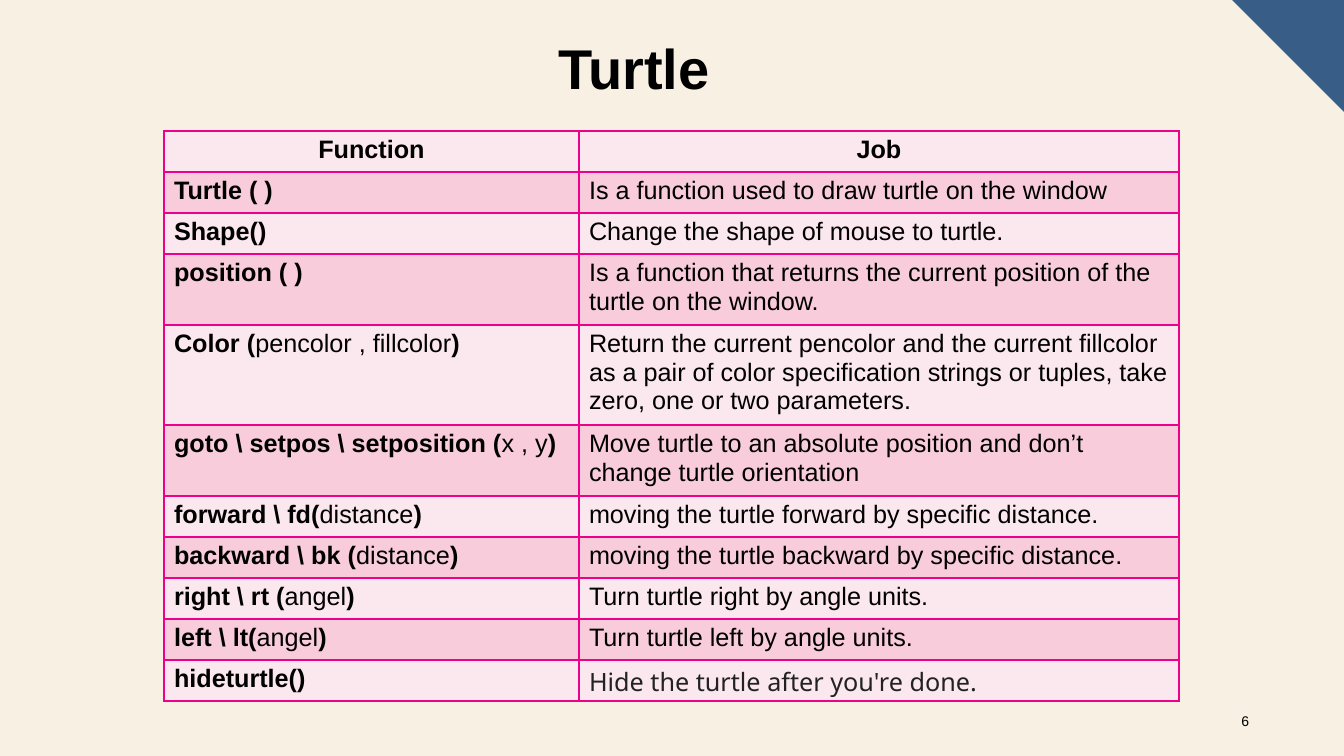
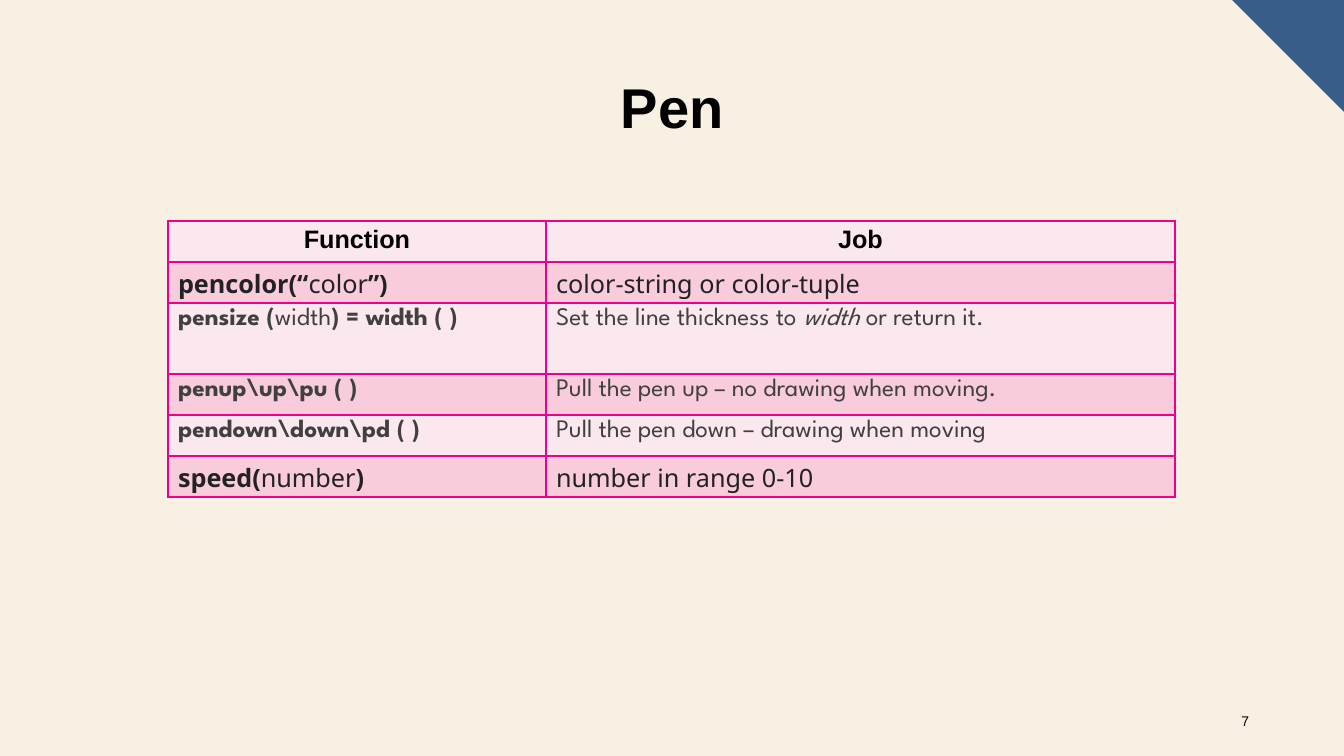
"""Build two slides that tabulate the turtle and pen functions."""
from lxml.etree import SubElement
from pptx import Presentation
from pptx.dml.color import RGBColor
from pptx.enum.text import MSO_ANCHOR, MSO_AUTO_SIZE, PP_ALIGN
from pptx.oxml.ns import qn
from pptx.util import Pt

PX = 9071
W, H = 1344, 756
CORNER = 112
CREAM, NAVY, BLACK, PINK = "F8F0E3", "385E88", "000000", "EC008C"
BANDS = ["FBE7EE", "F8CCDA"]
ARIAL = ("Arial", BLACK)
NOTO = ("Noto Sans", "222222")
SPARTAN = ("League Spartan", "404040")


def fill(obj, color):
    obj.fill.solid()
    obj.fill.fore_color.rgb = RGBColor.from_string(color)


def add_text(p, text, size=18, font=ARIAL, bold=False, italic=False, align=PP_ALIGN.LEFT):
    p.alignment = align
    r = p.add_run()
    r.text = text
    r.font.name, color = font
    r.font.color.rgb = RGBColor.from_string(color)
    r.font.size, r.font.bold, r.font.italic = Pt(size), bold, italic


# Each row: height, function font, job font, function (bold|plain|bold), job (plain|italic|plain)
SLIDES = [
    dict(number="6", title="Turtle", title_at=(388, 28), table_at=(164, 131), cols=(415, 600), rows=[
        (41, ARIAL, ARIAL, "Function", "Job"),
        (41, ARIAL, ARIAL, "Turtle ( )", "Is a function used to draw turtle on the window"),
        (41, ARIAL, ARIAL, "Shape()", "Change the shape of mouse to turtle."),
        (71, ARIAL, ARIAL, "position ( )",
         "Is a function that returns the current position of the turtle on the window."),
        (100, ARIAL, ARIAL, "Color (|pencolor , fillcolor|)",
         "Return the current pencolor and the current fillcolor as a pair of color "
         "specification strings or tuples, take zero, one or two parameters."),
        (71, ARIAL, ARIAL, "goto \\ setpos \\ setposition (|x , y|)",
         "Move turtle to an absolute position and don’t change turtle orientation"),
        (41, ARIAL, ARIAL, "forward \\ fd(|distance|)",
         "moving the turtle forward by specific distance."),
        (41, ARIAL, ARIAL, "backward \\ bk (|distance|)",
         "moving the turtle backward by specific distance."),
        (41, ARIAL, ARIAL, "right \\ rt (|angel|)", "Turn turtle right by angle units."),
        (41, ARIAL, ARIAL, "left \\ lt(|angel|)", "Turn turtle left by angle units."),
        (41, ARIAL, NOTO, "hideturtle()", "Hide the turtle after you're done."),
    ]),
    dict(number="7", title="Pen", title_at=(426, 67), table_at=(168, 221), cols=(378, 629), rows=[
        (41, ARIAL, ARIAL, "Function", "Job"),
        (41, NOTO, NOTO, "pencolor(“|color|”)", "color-string or color-tuple"),
        (71, SPARTAN, SPARTAN, "pensize (|width|) = width ( )",
         "Set the line thickness to |width| or return it."),
        (41, SPARTAN, SPARTAN, "penup\\up\\pu ( )", "Pull the pen up – no drawing when moving."),
        (41, SPARTAN, SPARTAN, "pendown\\down\\pd ( )", "Pull the pen down – drawing when moving"),
        (41, NOTO, NOTO, "speed(|number|)", "number in range 0-10"),
    ]),
]

prs = Presentation()
prs.slide_width, prs.slide_height = W * PX, H * PX
fill(prs.slide_master.background, CREAM)

for spec_data in SLIDES:
    s = prs.slides.add_slide(prs.slide_layouts[5])

    fb = s.shapes.build_freeform((W - CORNER) * PX, 0)
    fb.add_line_segments([(W * PX, 0), (W * PX, CORNER * PX)])
    corner = fb.convert_to_shape()
    corner.shadow.inherit = False
    fill(corner, NAVY)
    corner.line.fill.background()

    title = s.shapes.title
    title.left, title.top = [v * PX for v in spec_data["title_at"]]
    title.width, title.height = 492 * PX, 78 * PX
    tf = title.text_frame
    tf.auto_size, tf.vertical_anchor = MSO_AUTO_SIZE.NONE, MSO_ANCHOR.TOP
    add_text(tf.paragraphs[0], spec_data["title"], size=40, bold=True, align=PP_ALIGN.CENTER)

    number = s.shapes.add_textbox(1209 * PX, 701 * PX, 50 * PX, 40 * PX)
    tf = number.text_frame
    tf.word_wrap, tf.vertical_anchor = True, MSO_ANCHOR.MIDDLE
    add_text(tf.paragraphs[0], spec_data["number"], size=10, align=PP_ALIGN.RIGHT)

    rows, cols = spec_data["rows"], spec_data["cols"]
    left, top = spec_data["table_at"]
    height = sum(row[0] for row in rows)
    tbl = s.shapes.add_table(len(rows), len(cols), left * PX, top * PX,
                             sum(cols) * PX, height * PX).table
    for j, width in enumerate(cols):
        tbl.columns[j].width = width * PX
    for i, (row_height, *fonts_and_texts) in enumerate(rows):
        tbl.rows[i].height = row_height * PX
        for j in range(len(cols)):
            font, text = fonts_and_texts[j], fonts_and_texts[j + 2]
            cell = tbl.cell(i, j)
            cell.margin_bottom = 0
            for k, part in enumerate(text.split("|")):
                add_text(cell.text_frame.paragraphs[0], part, font=font,
                         bold=i == 0 or (j == 0 and k % 2 == 0),
                         italic=j == 1 and k % 2 == 1,
                         align=PP_ALIGN.LEFT if i else PP_ALIGN.CENTER)
            tcPr = cell._tc.get_or_add_tcPr()
            for side in ("lnL", "lnR", "lnT", "lnB"):
                ln = SubElement(tcPr, qn(f"a:{side}"), w=str(Pt(1)))
                SubElement(SubElement(ln, qn("a:solidFill")), qn("a:srgbClr"), val=PINK)
            fill(cell, BANDS[i % 2])

prs.save("out.pptx")
